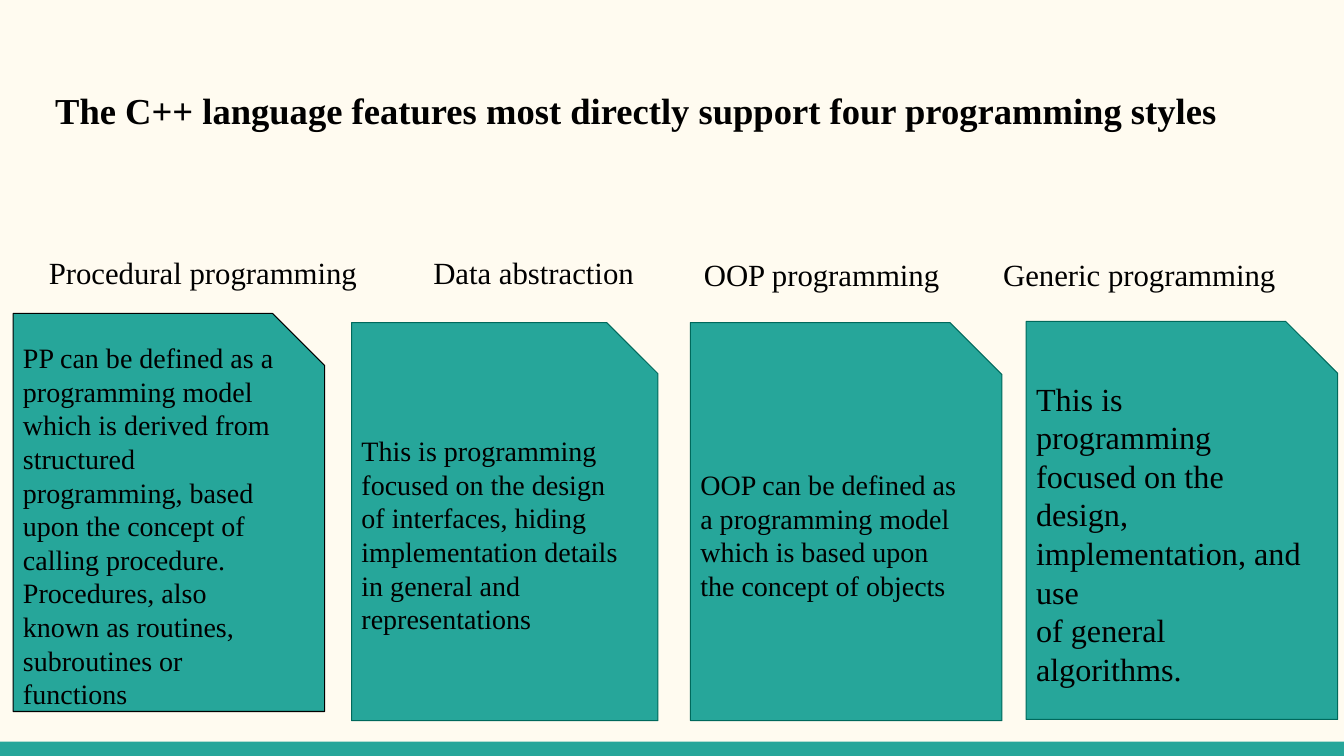
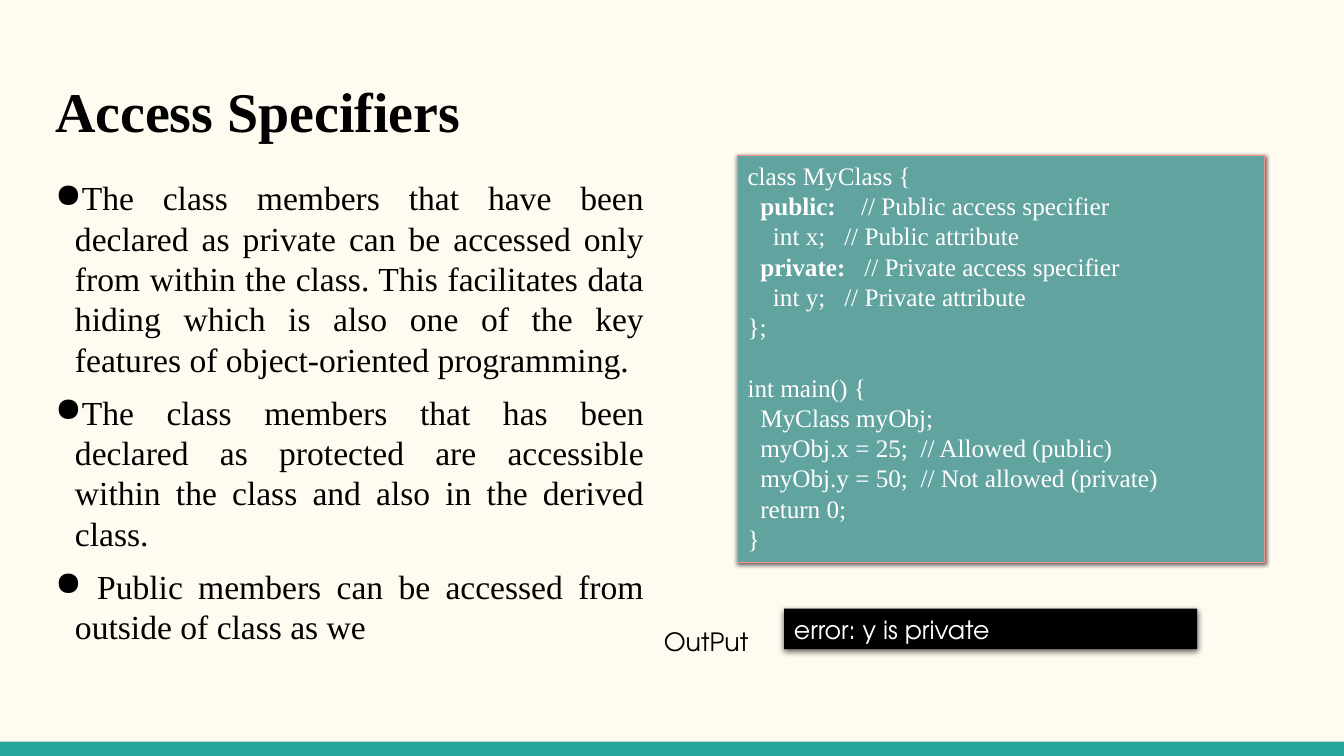
import pptx
import pptx.util
import pptx.dml.color
import pptx.enum.shapes
import pptx.enum.text
import pptx.oxml
import pptx.oxml.ns
import lxml.etree

Cm, Pt = pptx.util.Cm, pptx.util.Pt
Kind = pptx.enum.shapes.MSO_SHAPE
Align = pptx.enum.text.PP_ALIGN
Anchor = pptx.enum.text.MSO_ANCHOR
qn = pptx.oxml.ns.qn

COLORS = {
    "paper": "FFFBF0", "teal": "26A69A", "edge": "00695C", "black": "000000",
    "white": "FFFFFF", "light": "61A39F", "dark": "5EA29E", "rose": "F58F8F",
}
SERIF, SANS = "Times New Roman", "TeX Gyre Adventor"
WIDTH, HEIGHT = 33.87, 19.05


def rgb(name):
    return pptx.dml.color.RGBColor.from_string(COLORS[name])


class Deck:
    """Holds the style and the current slide."""

    def __init__(self):
        self.prs = pptx.Presentation()
        self.prs.slide_width, self.prs.slide_height = Cm(WIDTH), Cm(HEIGHT)
        self.slide = None

    def start(self, title, size):
        """New slide with paper ground, bottom band and title."""
        self.slide = self.prs.slides.add_slide(self.prs.slide_layouts[5])
        ground = self.slide.background.fill
        ground.solid()
        ground.fore_color.rgb = rgb("paper")
        self.shape(Kind.RECTANGLE, (0, 18.69, WIDTH, 0.36), "teal")
        head = self.slide.shapes.title
        head.left, head.top, head.width, head.height = map(
            Cm, (1.14, 1.65, 31.55, 2.26))
        self.label(head, [title], size, bold=True, anchor=Anchor.MIDDLE)

    def label(self, shape, lines, size, font=SERIF, color="black", bold=False,
              anchor=Anchor.TOP, pad=0.13, align=Align.LEFT):
        """Fill a shape with paragraphs; a line is a string or (text, bold) runs."""
        frame = shape.text_frame
        frame.word_wrap = True
        frame.auto_size = pptx.enum.text.MSO_AUTO_SIZE.NONE
        frame.vertical_anchor = anchor
        frame.margin_left = frame.margin_right = Cm(0.25)
        frame.margin_top = frame.margin_bottom = Cm(pad)
        for i, line in enumerate(lines):
            para = frame.add_paragraph() if i else frame.paragraphs[0]
            para.alignment = align
            para.font.name, para.font.size = font, Pt(size)
            para.font.bold = bold
            para.font.color.rgb = rgb(color)
            for text, strong in [(line, False)] if isinstance(line, str) else line:
                run = para.add_run()
                run.text = text
                if strong:
                    run.font.bold = True
        return frame.paragraphs

    def text(self, box, lines, size, **style):
        return self.label(self.slide.shapes.add_textbox(*map(Cm, box)),
                          lines, size, **style)

    def shape(self, kind, box, fill, line=None):
        """Preset shape; a pair of fill colours runs from top to bottom."""
        item = self.slide.shapes.add_shape(kind, *map(Cm, box))
        item.shadow.inherit = False
        if isinstance(fill, tuple):
            item.fill.gradient()
            item.fill.gradient_angle = 270
            for stop, name in zip(item.fill.gradient_stops, fill):
                stop.color.rgb = rgb(name)
        else:
            item.fill.solid()
            item.fill.fore_color.rgb = rgb(fill)
        if line:
            item.line.color.rgb = rgb(line)
            item.line.width = Pt(0.75)
        else:
            item.line.fill.background()
        return item

    def shade(self, item, blur, drop):
        """Soft shadow straight below."""
        effects = item.element.spPr.find(qn("a:effectLst"))
        cast = lxml.etree.SubElement(
            effects, qn("a:outerShdw"), blurRad=str(Pt(blur)), dist=str(Pt(drop)),
            dir="5400000", algn="ctr", rotWithShape="0")
        tint = lxml.etree.SubElement(cast, qn("a:srgbClr"), val=COLORS["black"])
        lxml.etree.SubElement(tint, qn("a:alpha"), val="62000")

    def indent(self, para, left, first=0):
        props = para._p.get_or_add_pPr()
        props.set("marL", str(Cm(left)))
        props.set("indent", str(Cm(first)))
        return props

    def bullet(self, para):
        """Round black bullet; goes before the default run properties."""
        props = self.indent(para, 0.5, -0.5)
        tint = lxml.etree.Element(qn("a:buClr"))
        lxml.etree.SubElement(tint, qn("a:srgbClr"), val=COLORS["black"])
        mark = lxml.etree.Element(qn("a:buChar"), char="●")
        base = props.find(qn("a:defRPr"))
        for part in (tint, mark):
            base.addprevious(part)


def styles(deck):
    deck.start("The C++ language features most directly support four "
               "programming styles", 26.1)

    # Headings: left, top, text
    for left, top, name in [
        (0.98, 6.15, "Procedural programming"),
        (10.67, 6.15, "Data abstraction"),
        (17.49, 6.2, "OOP programming"),
        (25.03, 6.2, "Generic programming"),
    ]:
        deck.text((left, top, 8.8, 1.45), [name], 22, pad=0.25)

    # Cards: left, top, width, line, size, text
    for left, top, width, line, size, lines in [
        (0.33, 7.9, 7.85, "black", 20, [
            "PP can be defined as a programming model which is derived from "
            "structured programming, based upon the concept of calling "
            "procedure. Procedures, also known as routines, subroutines or "
            "functions"]),
        (8.86, 8.13, 7.72, "edge", 20, [
            "This is programming focused on the design of interfaces, hiding "
            "implementation details in general and representations"]),
        (17.4, 8.13, 7.85, "edge", 20, [
            "OOP can be defined as a programming model which is based upon "
            "the concept of objects"]),
        (25.86, 8.1, 7.85, "edge", 23, [
            "This is programming focused on the design, implementation, and use",
            "of general algorithms."]),
    ]:
        card = deck.shape(Kind.SNIP_1_RECTANGLE, (left, top, width, 10.03),
                          "teal", line)
        deck.label(card, lines, size, anchor=Anchor.MIDDLE, pad=0.25)


def access(deck):
    deck.start("Access Specifiers", 40)

    # Bullet list
    points = deck.text((1.14, 4.34, 15.34, 12.57), [
        "The class members that have been declared as private can be accessed "
        "only from within the class. This facilitates data hiding which is "
        "also one of the key features of object-oriented programming.",
        "The class members that has been declared as protected are accessible "
        "within the class and also in the derived class.",
        " Public members can be accessed from outside of class as we",
    ], 24, align=Align.JUSTIFY)
    for i, para in enumerate(points):
        para.space_before = Pt(9 if i else 0)
        deck.bullet(para)

    # Code: level of indent, line
    code = [
        (0, "class MyClass {"),
        (1, [("public:", True), ("    // Public access specifier", False)]),
        (2, "int x;   // Public attribute"),
        (1, [("private:", True), ("   // Private access specifier", False)]),
        (2, "int y;   // Private attribute"),
        (0, "};"),
        (0, "int main() {"),
        (1, "MyClass myObj;"),
        (1, "myObj.x = 25;  // Allowed (public)"),
        (1, "myObj.y = 50;  // Not allowed (private)"),
        (1, "return 0;"),
        (0, "}"),
    ]
    panel = deck.shape(Kind.RECTANGLE, (18.59, 3.91, 13.28, 10.26),
                       ("light", "dark"), "rose")
    deck.shade(panel, 3, 1)
    paras = deck.label(panel, [line for level, line in code], 18, color="white")
    for para, (level, line) in zip(paras, code):
        deck.indent(para, 0.32 * level)
        if line == "int main() {":
            para.space_before = Pt(21.6)

    # Output
    screen = deck.shape(Kind.RECTANGLE, (19.76, 15.34, 10.41, 1.02), "black")
    deck.shade(screen, 4.5, 1.5)
    deck.label(screen, ["error: y is private"], 18, font=SANS, color="white")
    deck.text((16.48, 15.65, 2.9, 1.02), ["OutPut"], 18, font=SANS)


def main():
    deck = Deck()
    styles(deck)
    access(deck)
    deck.prs.save("out.pptx")


if __name__ == "__main__":
    main()
